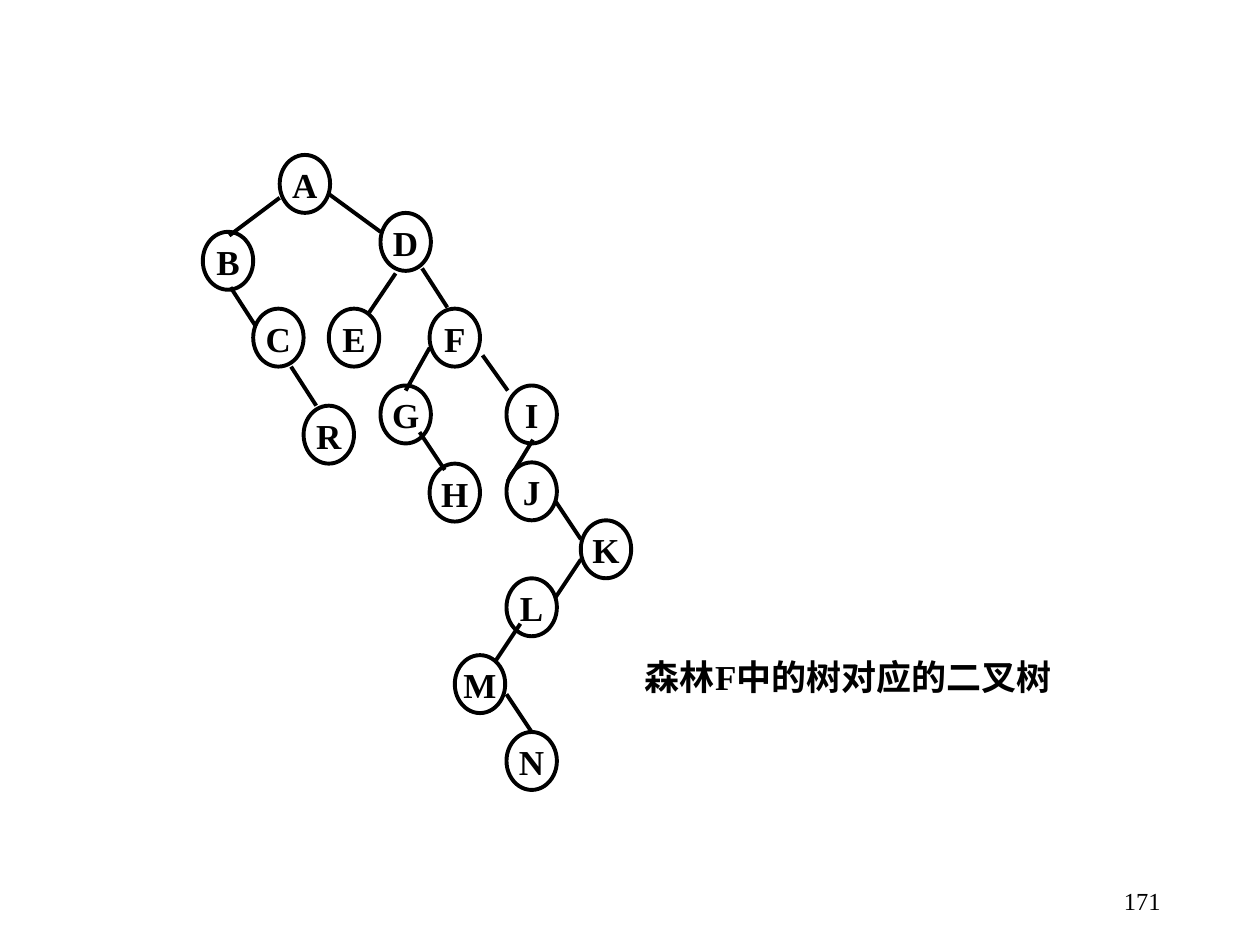
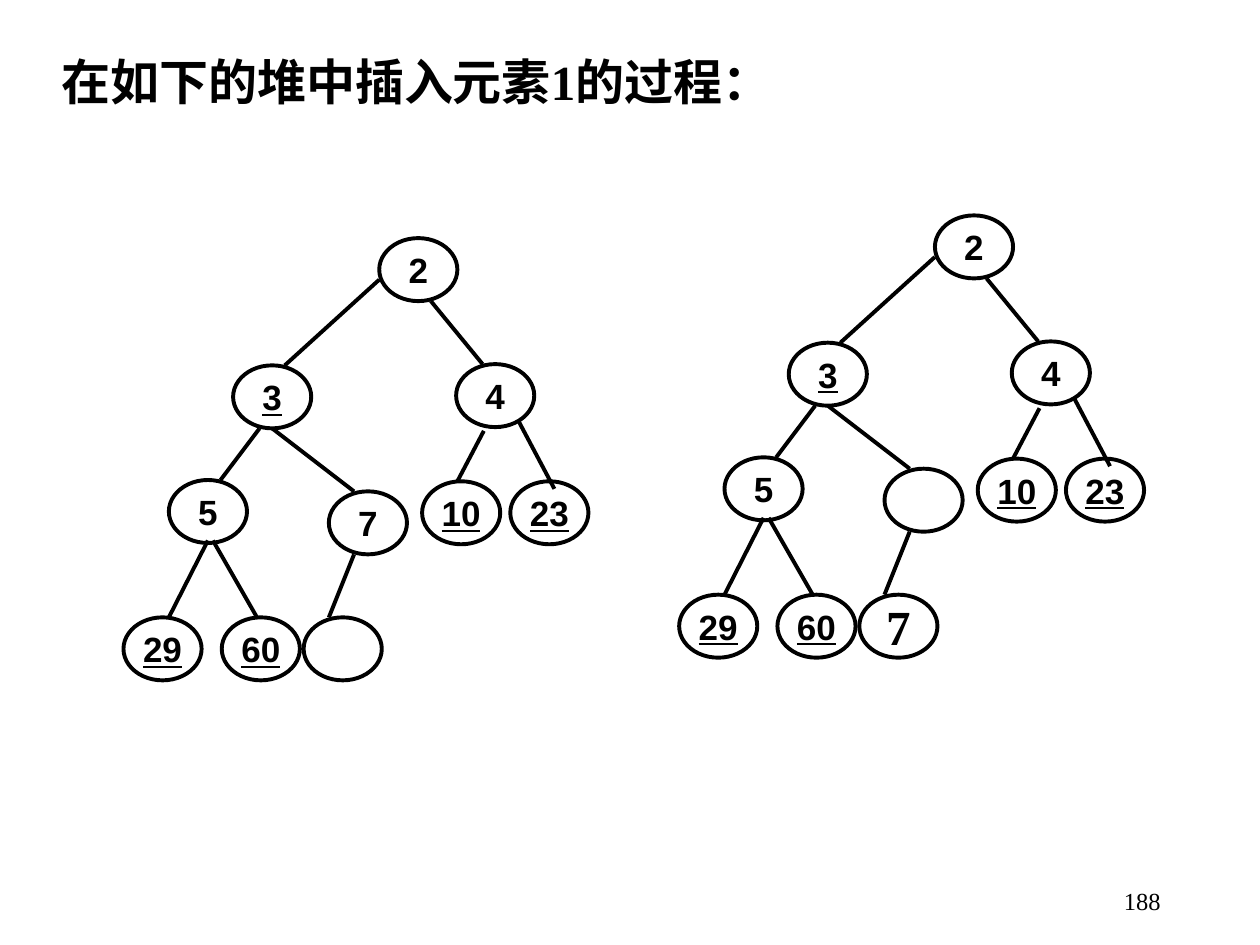
"""Builds two slides: a forest as a binary tree, and inserting an element into a heap."""
from dataclasses import dataclass

from lxml.etree import SubElement
from pptx import Presentation
from pptx.dml.color import RGBColor
from pptx.enum.shapes import MSO_CONNECTOR, MSO_SHAPE
from pptx.enum.text import MSO_ANCHOR, MSO_AUTO_SIZE, PP_ALIGN
from pptx.oxml.ns import qn
from pptx.util import Emu, Pt

FOREST_PAGE = "171"
FOREST_CAPTION = "森林F中的树对应的二叉树"
FOREST_NODES = {
    "A": (222, 123), "B": (161, 184), "C": (201, 245), "R": (241, 322),
    "D": (302, 169), "E": (261, 245), "F": (341, 245), "G": (302, 306),
    "H": (341, 368), "I": (402, 306), "J": (402, 367), "K": (461, 413),
    "L": (402, 459), "M": (361, 520), "N": (402, 581),
}
FOREST_EDGES = [
    (222, 157, 182, 187), (261, 154, 302, 184), (183, 228, 203, 259),
    (231, 291, 251, 322), (314, 217, 293, 248), (335, 213, 355, 244),
    (341, 276, 322, 310), (333, 343, 353, 373), (383, 282, 403, 310),
    (423, 349, 403, 382), (441, 398, 461, 428), (461, 444, 441, 474),
    (413, 495, 393, 525), (402, 551, 422, 581),
]

HEAP_PAGE = "188"
HEAP_TITLE = "在如下的堆中插入元素1的过程："
HEAP_POSITIONS = [
    (301, 189), (185, 290), (362, 289), (134, 381), (261, 390),
    (335, 382), (405, 382), (98, 490), (176, 490), (241, 490),
]
HEAP_EDGES = [
    (301, 222, 226, 290), (342, 239, 383, 289), (206, 340, 175, 381),
    (216, 340, 281, 390), (384, 342, 363, 382), (412, 335, 440, 388),
    (165, 429, 134, 490), (169, 429, 204, 490), (281, 440, 261, 490),
]
HEAP_STEPS = [
    ((0, 0), ["2", "3", "4", "5", "7", "10", "23", "29", "60", ""]),
    ((441, -18), ["2", "3", "4", "5", "", "10", "23", "29", "60", "7"]),
]
UNDERLINED = {"3", "10", "23", "29", "60"}
FOREST_NODE_SIZE = (40, 46)
HEAP_NODE_SIZE = (62, 50)
SLIDE_SIZE = (1000, 750)


@dataclass(frozen=True)
class Theme:
    """Colours, fonts and type sizes shared by the slides."""
    ink: RGBColor = RGBColor(0, 0, 0)
    serif: str = "Times New Roman"
    sans: str = "Arial"
    title_size: int = 28
    body_size: int = 20
    page_size: int = 14
    line_width: float = 2.25


THEME = Theme()


def px(length):
    """Turn px into EMU at 100 px to the inch."""
    return Emu(length * 9144)


def write(shape, text, size, font=THEME.serif, bold=True, underline=None,
          align=PP_ALIGN.LEFT, anchor=MSO_ANCHOR.MIDDLE, insets=(10, 5), wrap=True):
    """Write one styled run into a shape."""
    frame = shape.text_frame
    frame.word_wrap = wrap
    frame.vertical_anchor = anchor
    frame.margin_left = frame.margin_right = px(insets[0])
    frame.margin_top = frame.margin_bottom = px(insets[1])
    paragraph = frame.paragraphs[0]
    paragraph.alignment = align
    run = paragraph.add_run()
    run.text = text
    run.font.name = font
    run.font.size = Pt(size)
    run.font.bold = bold
    run.font.underline = underline
    run.font.color.rgb = THEME.ink


def add_text(shapes, box, text, size, **style):
    """Add a text box holding one run."""
    text_box = shapes.add_textbox(*map(px, box))
    write(text_box, text, size, **style)
    return text_box


def outline(shape):
    """Give a shape or connector the common line."""
    shape.line.color.rgb = THEME.ink
    shape.line.width = Pt(THEME.line_width)


def add_node(shapes, position, node_size):
    """Add an unfilled ellipse."""
    node = shapes.add_shape(MSO_SHAPE.OVAL, *map(px, (*position, *node_size)))
    node.shadow.inherit = False
    node.fill.background()
    outline(node)
    return node


def add_edges(shapes, edges, offset=(0, 0)):
    """Add the straight lines of a tree, moved by an offset."""
    across, down = offset
    for x1, y1, x2, y2 in edges:
        ends = (x1 + across, y1 + down, x2 + across, y2 + down)
        edge = shapes.add_connector(MSO_CONNECTOR.STRAIGHT, *map(px, ends))
        outline(edge)
        SubElement(edge._element.spPr, qn("a:effectLst"))


def add_slide(presentation, page):
    """Add a blank slide with its page number."""
    slide = presentation.slides.add_slide(presentation.slide_layouts[6])
    add_text(slide.shapes, (706, 695, 225, 40), page, THEME.page_size,
             bold=False, align=PP_ALIGN.RIGHT)
    return slide


def build_forest(presentation):
    """Draw the binary tree that stands for the forest."""
    slide = add_slide(presentation, FOREST_PAGE)
    shapes = slide.shapes.add_group_shape().shapes
    for label, position in FOREST_NODES.items():
        node = add_node(shapes, position, FOREST_NODE_SIZE)
        write(node, label, THEME.body_size, align=PP_ALIGN.CENTER,
              anchor=MSO_ANCHOR.TOP, insets=(0, 0))
    add_edges(shapes, FOREST_EDGES)
    add_text(shapes, (502, 520, 400, 46), FOREST_CAPTION, THEME.body_size,
             align=PP_ALIGN.JUSTIFY, anchor=MSO_ANCHOR.TOP, insets=(10, 0))


def build_heap(presentation):
    """Draw the heap at each step of the insertion."""
    slide = add_slide(presentation, HEAP_PAGE)
    title = add_text(slide.shapes, (39, 36, 621, 57), HEAP_TITLE,
                     THEME.title_size, wrap=False)
    title.text_frame.auto_size = MSO_AUTO_SIZE.SHAPE_TO_FIT_TEXT
    for offset, labels in HEAP_STEPS:
        shapes = slide.shapes.add_group_shape().shapes
        for index, (label, (left, top)) in enumerate(zip(labels, HEAP_POSITIONS)):
            node = add_node(shapes, (left + offset[0], top + offset[1]), HEAP_NODE_SIZE)
            if not label:
                continue
            moved = index == len(labels) - 1
            write(node, label, THEME.title_size if moved else THEME.body_size,
                  font=THEME.serif if moved else THEME.sans,
                  underline=label in UNDERLINED, align=PP_ALIGN.CENTER, insets=(5, 3))
        add_edges(shapes, HEAP_EDGES, offset)


def main():
    """Build and save the presentation."""
    presentation = Presentation()
    presentation.slide_width, presentation.slide_height = map(px, SLIDE_SIZE)
    build_forest(presentation)
    build_heap(presentation)
    presentation.save("out.pptx")


if __name__ == "__main__":
    main()
